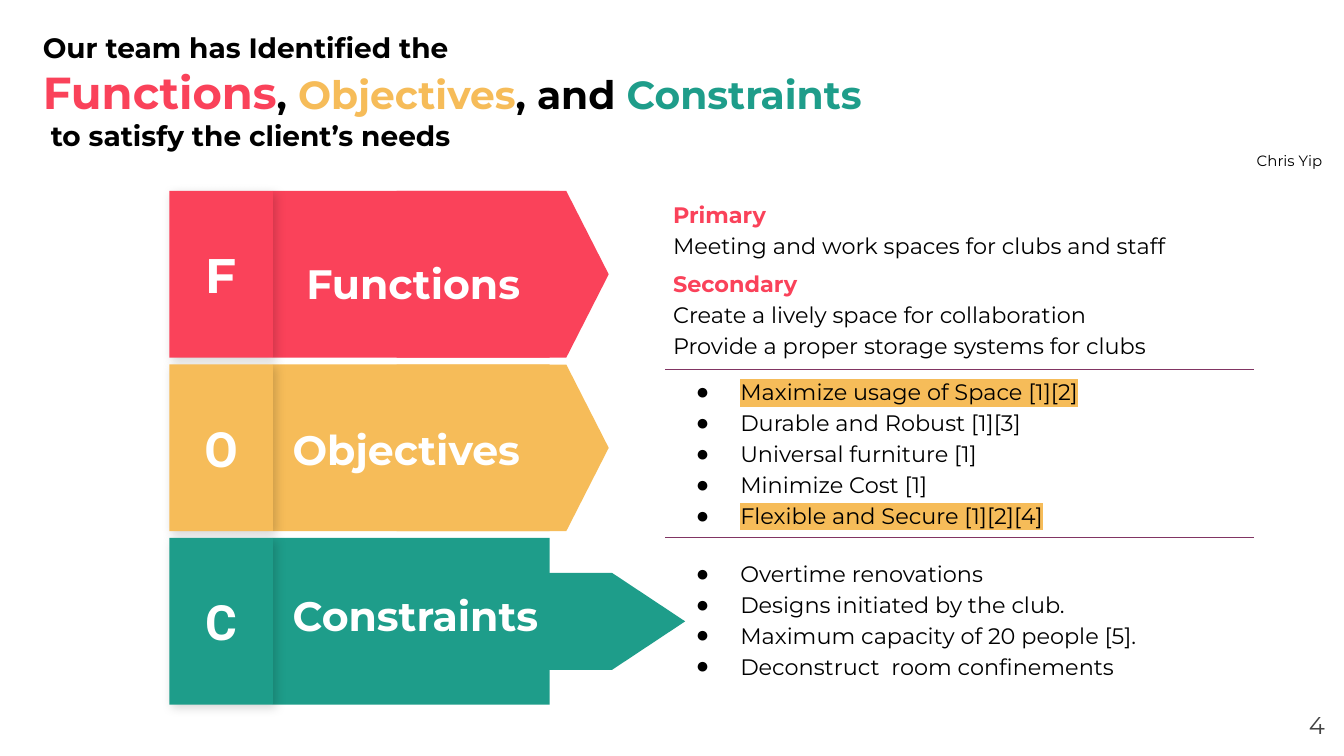
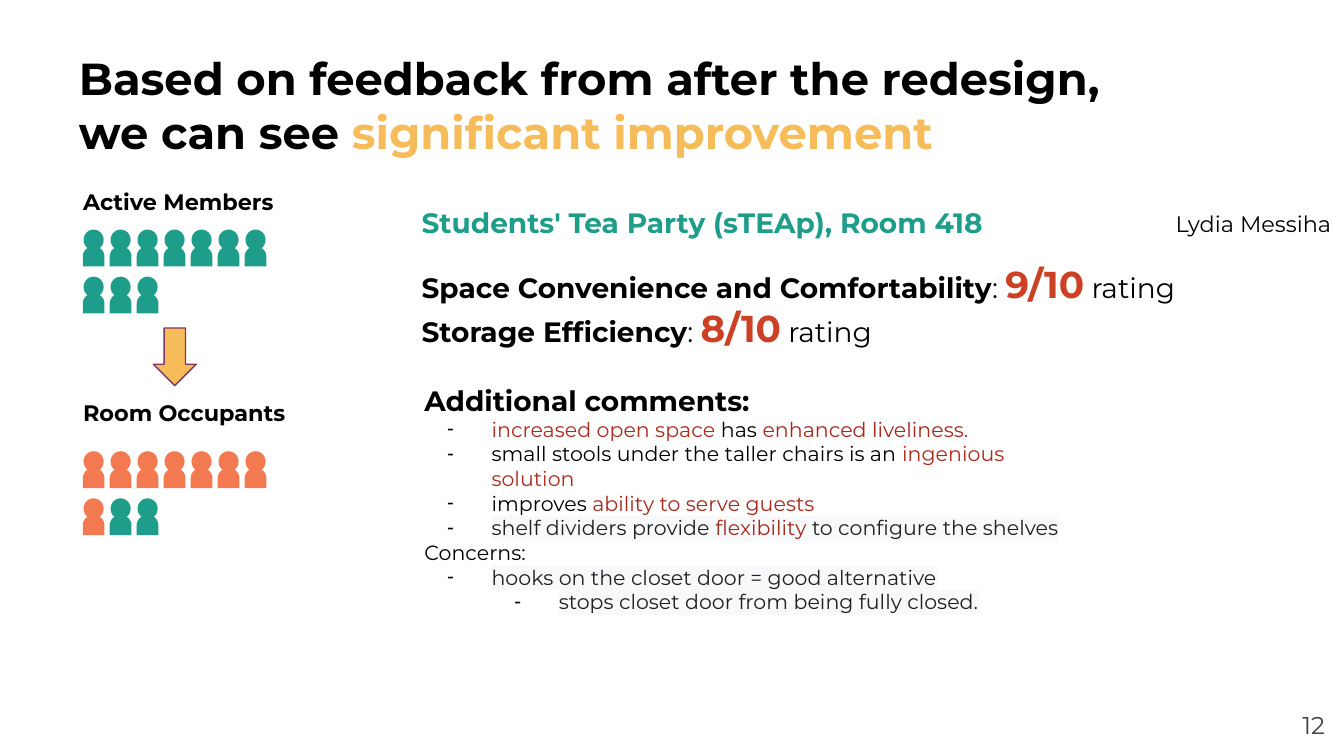
from lxml.etree import SubElement
from pptx import Presentation
from pptx.dml.color import RGBColor
from pptx.enum.shapes import MSO_CONNECTOR, MSO_SHAPE
from pptx.enum.text import MSO_ANCHOR, MSO_AUTO_SIZE, PP_ALIGN
from pptx.oxml.ns import qn
from pptx.util import Cm, Pt

FONT = "Montserrat"
BLACK, WHITE, GRAY, INK = "000000", "FFFFFF", "434343", "202124"
RED, YELLOW, GREEN, ORANGE = "FA425A", "F6BC59", "1E9D8A", "F37950"
PLUM, SCORE, BRICK, RUST, PALE = "813563", "CC4125", "B02B20", "A7291E", "F8F9FA"
PERSON_STEP, PERSON_ROW, PEOPLE_PER_ROW = 0.51, 0.89, 7


def rgb(color):
    return RGBColor.from_string(color)


def add_color(parent, tag, color):
    el = SubElement(parent, qn(tag))
    return SubElement(el, qn("a:srgbClr"), val=color)


def place(sp, box):
    sp.left, sp.top, sp.width, sp.height = [Cm(v) for v in box]


def add_run(p, text, size=12, color=BLACK, bold=False, highlight=None, font=FONT):
    r = p.add_run()
    r.text = text
    r.font.size = Pt(size)
    r.font.bold = bold
    r.font.name = font
    r.font.color.rgb = rgb(color)
    if highlight:
        rPr = r.font._element
        add_color(rPr, "a:highlight", highlight)
        rPr.find(qn("a:solidFill")).addnext(rPr.find(qn("a:highlight")))


def set_bullet(p, char, level):
    pPr = p._p.get_or_add_pPr()
    pPr.set("marL", str(Cm(1.27 * level)))
    pPr.set("indent", str(Cm(-0.84 if char else 0)))
    if char:
        p.level = level - 1
        add_color(pPr, "a:buClr", BLACK)
        SubElement(pPr, qn("a:buChar"), char=char)
    else:
        SubElement(pPr, qn("a:buNone"))


def fill_text(sp, paragraphs, bullets=None, spacing=1.0,
              anchor=MSO_ANCHOR.TOP, align=PP_ALIGN.LEFT):
    tf = sp.text_frame
    tf.word_wrap = True
    tf.auto_size = MSO_AUTO_SIZE.NONE
    tf.vertical_anchor = anchor
    tf.margin_left = tf.margin_right = tf.margin_top = tf.margin_bottom = Cm(0.25)
    for i, runs in enumerate(paragraphs):
        p = tf.paragraphs[0] if i == 0 else tf.add_paragraph()
        if bullets:
            set_bullet(p, *bullets[i])
        p.alignment = align
        p.line_spacing = spacing
        p.space_before = p.space_after = Pt(0)
        for run in runs:
            add_run(p, *run)


def add_text(s, box, paragraphs, **options):
    sp = s.shapes.add_textbox(*[Cm(v) for v in box])
    fill_text(sp, paragraphs, **options)
    return sp


def fill_placeholder(sp, box, paragraphs, **options):
    place(sp, box)
    fill_text(sp, paragraphs, **options)


def add_block(shapes, kind, box, color, rotation=0):
    sp = shapes.add_shape(kind, *[Cm(v) for v in box])
    sp.shadow.inherit = False
    sp.fill.solid()
    sp.fill.fore_color.rgb = rgb(color)
    sp.line.fill.background()
    sp.rotation = rotation
    return sp


def add_byline(s, x, y, name, size):
    sp = add_text(s, (x, y, 25.4 - x, 0.9), [[(name, size)]])
    sp.text_frame.margin_right = 0


def add_page_number(s, number):
    add_text(s, (23.77, 13.18, 1.52, 1.09), [[(number, 13, GRAY)]], align=PP_ALIGN.RIGHT)


def add_letter_tile(s, box, letter, color, font):
    tile = add_block(s.shapes, MSO_SHAPE.RECTANGLE, box, color)
    effects = tile._element.spPr.find(qn("a:effectLst"))
    shadow = SubElement(effects, qn("a:outerShdw"), blurRad=str(Pt(5.6)), dist=str(Pt(2.2)),
                        dir="2700000", algn="bl", rotWithShape="0")
    SubElement(SubElement(shadow, qn("a:srgbClr"), val=BLACK), qn("a:alpha"), val="17000")
    fill_text(tile, [[(letter, 26, WHITE, True, None, font)]],
              anchor=MSO_ANCHOR.MIDDLE, align=PP_ALIGN.CENTER)


def add_banner(s, box, name, color, font, label_at, arrow):
    x, y, w, h = box
    tile_w = 1.96
    length, thick = arrow
    add_block(s.shapes, MSO_SHAPE.RECTANGLE, (x + tile_w, y, w - tile_w, h), color)
    add_block(s.shapes, MSO_SHAPE.FLOWCHART_OFFPAGE_CONNECTOR,
              (x + 6.3 - thick / 2, y + h / 2 - length / 2, thick, length), color, 270)
    add_letter_tile(s, (x, y, tile_w, h), name[0], color, font)
    dx, dy = label_at
    add_text(s, (x + dx, y + dy, 6.2, 1.4), [[(name, 22, WHITE, True)]])


def add_divider(s, x, y, w):
    line = s.shapes.add_connector(MSO_CONNECTOR.STRAIGHT, Cm(x), Cm(y), Cm(x + w), Cm(y))
    line.line.color.rgb = rgb(PLUM)
    line.line.width = Pt(0.75)
    SubElement(line._element.spPr, qn("a:effectLst"))


def add_people(s, x, y, colors):
    for i, color in enumerate(colors):
        row, col = divmod(i, PEOPLE_PER_ROW)
        px, py = x + col * PERSON_STEP, y + row * PERSON_ROW
        person = s.shapes.add_group_shape()
        add_block(person.shapes, MSO_SHAPE.OVAL, (px, py, 0.38, 0.39), color)
        add_block(person.shapes, MSO_SHAPE.FLOWCHART_DELAY, (px, py + 0.3, 0.38, 0.41), color, 270)


def add_headcount(s, x, y, caption, people_dy, colors):
    add_text(s, (x, y, 5.18, 0.9), [[(caption, 12, BLACK, True)]])
    add_people(s, x + 0.26, y + people_dy, colors)


def build_functions_slide(prs):
    s = prs.slides.add_slide(prs.slide_layouts[3])
    fill_placeholder(s.shapes.title, (0.56, 0.33, 20.47, 2.8), [
        [("Our team has Identified the", 15, BLACK, True)],
        [("Functions", 24, RED, True), (", ", 21, BLACK, True),
         ("Objectives", 21, YELLOW, True), (", and ", 21, BLACK, True),
         ("Constraints", 21, GREEN, True)],
        [(" to satisfy the client’s needs", 15, BLACK, True)],
    ])
    banners = [
        ("Functions", RED, FONT, (2.34, 1.02), (4.01, 3.15)),
        ("Objectives", YELLOW, "Roboto", (2.08, 0.89), (4.01, 3.15)),
        ("Constraints", GREEN, "Roboto", (2.08, 0.74), (6.9, 1.83)),
    ]
    for i, banner in enumerate(banners):
        add_banner(s, (3.2, 3.61 + i * 3.28, 7.19, 3.15), *banner)

    x = 12.47
    add_text(s, (x, 3.61, 11.02, 1.42), [
        [("Primary", 12, RED, True)],
        [("Meeting and work spaces for clubs and staff",)],
    ], spacing=1.15, anchor=MSO_ANCHOR.MIDDLE)
    add_text(s, (x, 4.78, 12.7, 2.3), [
        [("Secondary", 12, RED, True)],
        [("Create a lively space for collaboration",)],
        [("Provide a proper storage systems for clubs",)],
    ], spacing=1.15)
    objectives = [
        [("Maximize usage of Space [1][2]", 12, BLACK, False, YELLOW)],
        [("Durable and Robust [1][3]",)],
        [("Universal furniture [1]",)],
        [("Minimize Cost [1]",)],
        [("Flexible and Secure [1][2][4]", 12, BLACK, False, YELLOW)],
    ]
    constraints = [
        [("Overtime renovations",)],
        [("Designs initiated by the club.",)],
        [("Maximum capacity of 20 people [5].",)],
        [("Deconstruct  room confinements",)],
    ]
    lists = [(1, (x, 7.32, 9.19, 2.44), objectives, MSO_ANCHOR.MIDDLE),
             (2, (x, 10.26, 12.07, 2.9), constraints, MSO_ANCHOR.TOP)]
    for idx, box, items, anchor in lists:
        fill_placeholder(s.placeholders[idx], box, items, bullets=[("●", 1)] * len(items),
                         spacing=1.15, anchor=anchor)
    for y in (6.99, 10.16):
        add_divider(s, 12.57, y, 11.13)
    add_byline(s, 23.5, 2.62, "Chris Yip", 8)
    add_page_number(s, "4")


def add_ratings(s, x, y):
    add_text(s, (x, y, 12.75, 1.0),
             [[("Students' Tea Party (sTEAp), Room 418", 15, GREEN, True)]])
    ratings = [("Space Convenience and Comfortability", "9/10"), ("Storage Efficiency", "8/10")]
    add_text(s, (x, y + 1.05, 17.04, 2.2), [
        [(name, 15, BLACK, True), (": ", 15), (score, 20, SCORE, True), (" rating", 15)]
        for name, score in ratings
    ])


def fill_comments(sp, box):
    fill_placeholder(sp, box, [
        [("Additional comments:", 15, BLACK, True)],
        [("increased open space ", 11, BRICK), ("has ", 11), ("enhanced liveliness.", 11, RUST)],
        [("small stools under the taller chairs is an ", 11), ("ingenious solution", 11, BRICK)],
        [("improves ", 11), ("ability to serve guests", 11, RUST)],
        [("shelf dividers provide ", 11, INK, False, PALE),
         ("flexibility ", 11, RUST, False, PALE),
         ("to configure the shelves", 11, INK, False, PALE)],
        [("Concerns:", 11)],
        [("hooks on the closet door = good alternative", 11, INK, False, PALE)],
        [("stops closet door from being fully closed.", 11, INK, False, PALE)],
    ], bullets=[(None, 0)] + [("-", 1)] * 4 + [(None, 0), ("-", 1), ("-", 2)])


def build_feedback_slide(prs):
    s = prs.slides.add_slide(prs.slide_layouts[1])
    fill_placeholder(s.shapes.title, (1.24, 0.71, 20.29, 2.6), [
        [("Based on feedback from after the redesign, we can see ", 24, BLACK, True),
         ("significant improvement", 24, YELLOW, True)],
    ])
    add_headcount(s, 1.32, 3.3, "Active Members", 1.04, [GREEN] * 10)
    arrow = add_block(s.shapes, MSO_SHAPE.DOWN_ARROW, (2.9, 6.2, 0.81, 1.09), YELLOW)
    arrow.line.color.rgb = rgb(PLUM)
    arrow.line.width = Pt(0.75)
    add_headcount(s, 1.32, 7.29, "Room Occupants", 1.24, [ORANGE] * 8 + [GREEN] * 2)
    add_ratings(s, 7.72, 3.63)
    fill_comments(s.placeholders[1], (7.77, 6.99, 12.75, 5.92))
    add_byline(s, 21.97, 3.73, "Lydia Messiha", 12)
    add_page_number(s, "12")


def main():
    prs = Presentation()
    prs.slide_width, prs.slide_height = Cm(25.4), Cm(14.29)
    build_functions_slide(prs)
    build_feedback_slide(prs)
    prs.save("out.pptx")


if __name__ == "__main__":
    main()
